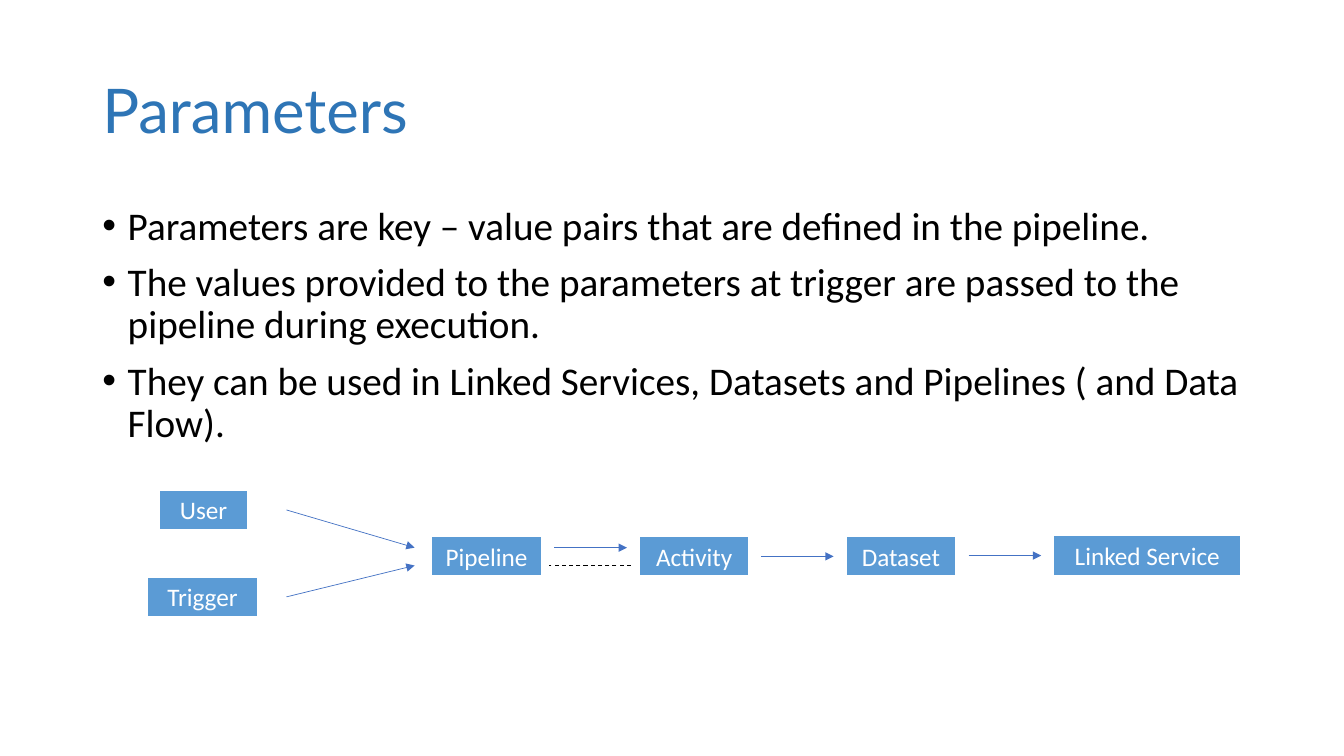
"""Build the Parameters slide: title, bullets and a parameter flow diagram."""
from lxml import etree
from pptx import Presentation
from pptx import util as u
from pptx.dml.color import RGBColor
from pptx.enum import dml, shapes, text
from pptx.oxml.ns import qn

TITLE_BLUE = RGBColor(0x2E, 0x75, 0xB6)
BOX_BLUE = RGBColor(0x5B, 0x9B, 0xD5)
ARROW_BLUE = RGBColor(0x44, 0x72, 0xC4)
WHITE = RGBColor(0xFF, 0xFF, 0xFF)
BLACK = RGBColor(0, 0, 0)


def add_text(left, top, width, height, lines, size, font, color):
    box = slide.shapes.add_textbox(u.Cm(left), u.Cm(top), u.Cm(width), u.Cm(height))
    frame = box.text_frame
    frame.word_wrap = True
    frame.text = "\n".join(lines)
    for paragraph in frame.paragraphs:
        paragraph.line_spacing = 0.9
        paragraph.font.size = u.Pt(size)
        paragraph.font.name = font
        paragraph.font.color.rgb = color
    return frame


def add_line(start_x, start_y, end_x, end_y, color, width):
    line = slide.shapes.add_connector(
        shapes.MSO_CONNECTOR.STRAIGHT,
        u.Cm(start_x), u.Cm(start_y), u.Cm(end_x), u.Cm(end_y))
    line.line.color.rgb = color
    line.line.width = u.Pt(width)
    etree.SubElement(line._element.spPr, qn("a:effectLst"))
    return line


presentation = Presentation()
presentation.slide_width = u.Cm(33.87)
presentation.slide_height = u.Cm(19.05)
slide = presentation.slides.add_slide(presentation.slide_layouts[6])

title = add_text(2.33, 1.01, 29.21, 3.68, ["Parameters"], 44, "Lato", TITLE_BLUE)
title.vertical_anchor = text.MSO_ANCHOR.MIDDLE

bullets = [
    "Parameters are key – value pairs that are defined in the pipeline.",
    "The values provided to the parameters at trigger are passed to the pipeline during execution.",
    "They can be used in Linked Services, Datasets and Pipelines ( and Data Flow).",
]
body = add_text(2.33, 5.07, 29.21, 6.93, bullets, 28, "Calibri", BLACK)
for paragraph in body.paragraphs:
    paragraph.space_before = u.Pt(10)
    properties = paragraph._p.get_or_add_pPr()
    properties.set("marL", str(u.Cm(0.64)))
    properties.set("indent", str(u.Cm(-0.64)))
    etree.SubElement(properties, qn("a:buFont")).set("typeface", "Arial")
    etree.SubElement(properties, qn("a:buChar")).set("char", "•")

boxes = [
    ("User", 4.01, 12.34, 2.24),
    ("Trigger", 3.71, 14.53, 2.79),
    ("Pipeline", 10.87, 13.51, 2.79),
    ("Activity", 16.1, 13.51, 2.79),
    ("Dataset", 21.31, 13.51, 2.79),
    ("Linked Service", 26.54, 13.49, 4.75),
]
for label, left, top, width in boxes:
    box = slide.shapes.add_shape(
        shapes.MSO_SHAPE.RECTANGLE, u.Cm(left), u.Cm(top), u.Cm(width), u.Cm(1.02))
    box.shadow.inherit = False
    box.fill.solid()
    box.fill.fore_color.rgb = BOX_BLUE
    box.line.color.rgb = WHITE
    box.line.width = u.Pt(1.5)
    frame = box.text_frame
    frame.word_wrap = False
    frame.text = label
    paragraph = frame.paragraphs[0]
    paragraph.alignment = text.PP_ALIGN.CENTER
    paragraph.font.size = u.Pt(18)
    paragraph.font.name = "Calibri"
    paragraph.font.color.rgb = WHITE

arrows = [
    (7.22, 12.85, 10.45, 13.8),
    (7.22, 15.04, 10.45, 14.25),
    (13.97, 13.8, 15.8, 13.8),
    (19.18, 14.02, 21.01, 14.02),
    (24.41, 14, 26.24, 14),
]
for ends in arrows:
    arrow = add_line(*ends, ARROW_BLUE, 0.5)
    etree.SubElement(arrow.line._get_or_add_ln(), qn("a:tailEnd")).set("type", "triangle")

dashed_link = add_line(15.9, 14.25, 13.84, 14.25, BLACK, 0.75)
dashed_link.line.dash_style = dml.MSO_LINE.DASH

presentation.save("out.pptx")
